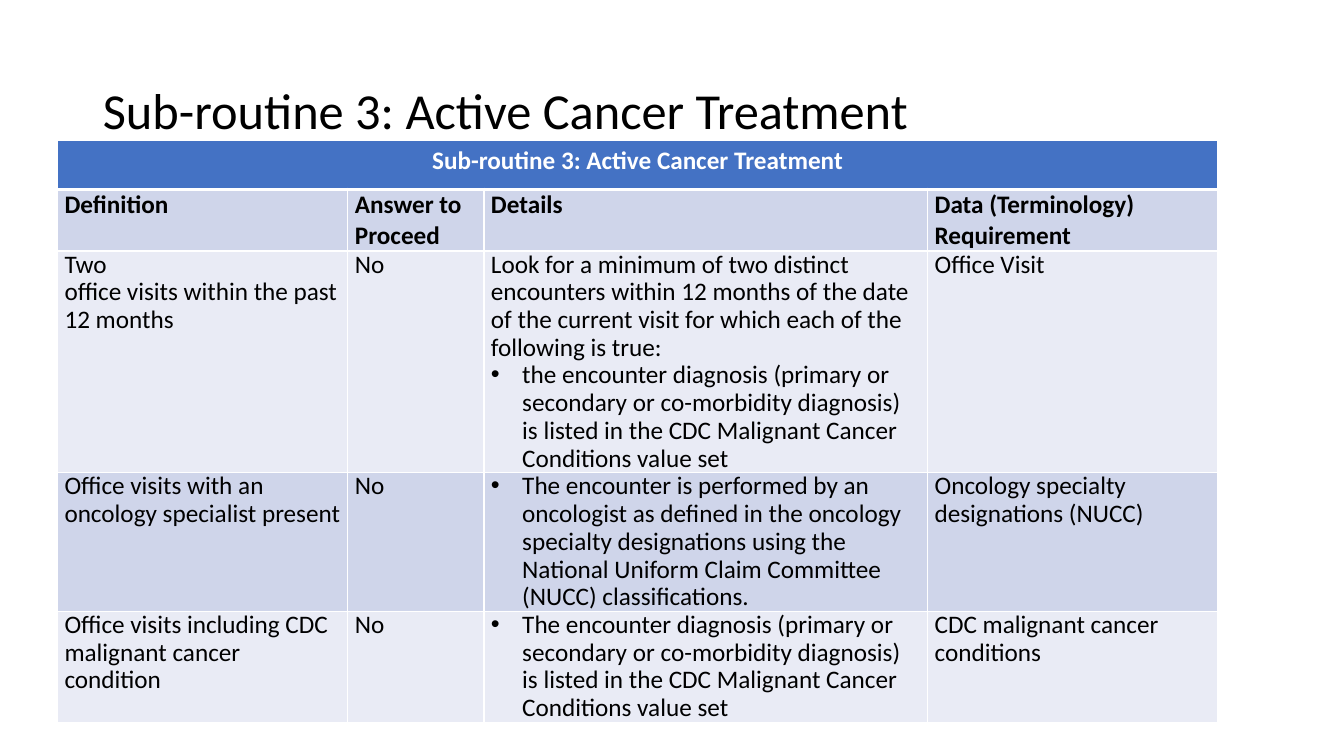
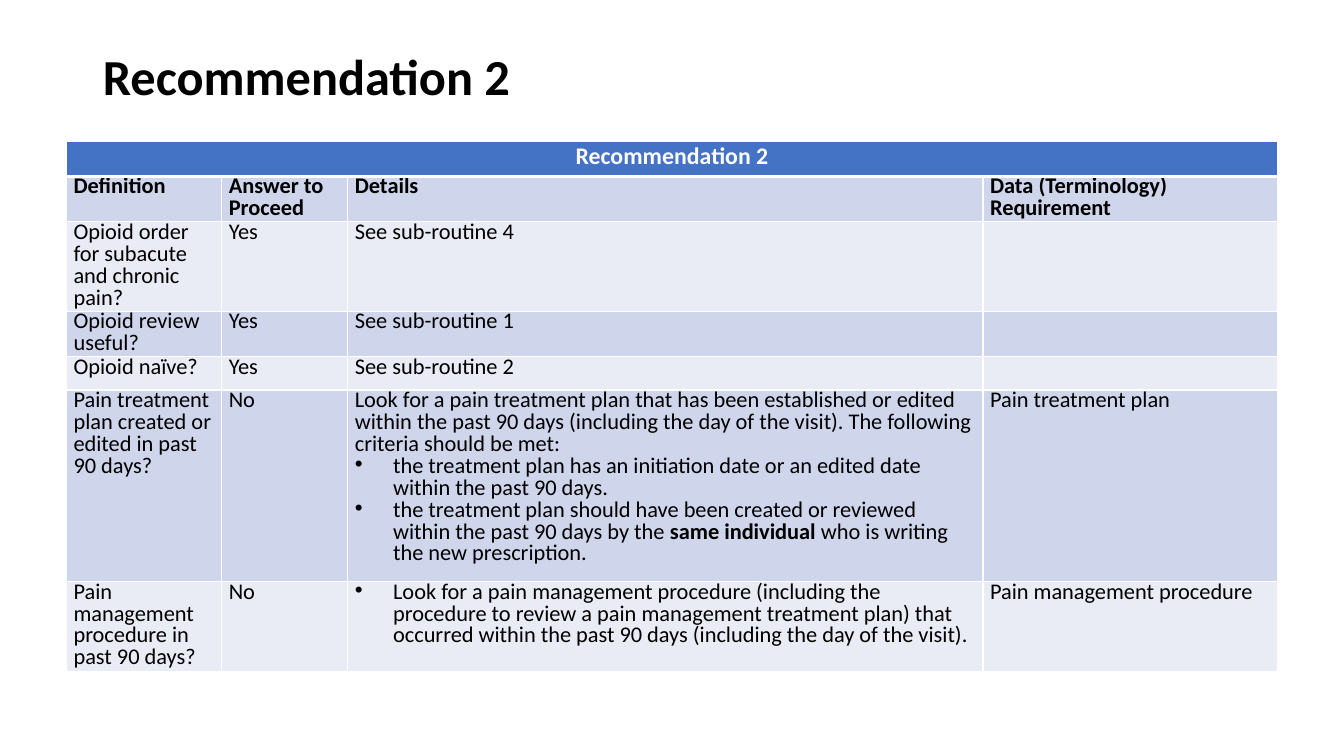
from lxml import etree
from pptx import Presentation
from pptx.dml.color import RGBColor
from pptx.enum.text import MSO_ANCHOR, PP_ALIGN
from pptx.oxml.ns import qn
from pptx.util import Inches, Pt

LEFT, CENTER = PP_ALIGN.LEFT, PP_ALIGN.CENTER
MIDDLE = MSO_ANCHOR.MIDDLE
FONT = "Calibri"
BLACK, WHITE, BLUE = "000000", "FFFFFF", "4472C4"
BANDS = ("CFD5EA", "E9EBF5")
BULLET = "• "
HEADS = ("Definition", "Answer to\u0020Proceed", "Details", "Data (Terminology) Requirement")
SLIM = {
    "margin_left": Inches(0.07),
    "margin_right": Inches(0.07),
    "margin_top": 0,
    "margin_bottom": 0,
}

CANCER = {
    "title": "Sub-routine 3: Active Cancer Treatment",
    "title_box": (0.92, 0.4, 11.5, 1.45),
    "title_bold": False,
    "spot": (0.57, 1.39),
    "cols": (2.88, 1.35, 4.4, 2.88),
    "rows": (0.49, 0.6, 2.2, 1.37, 1.1),
    "sizes": (18, 18),
    "spacing": (1.0, 0.9),
    "indent": 0.31,
    "body": (
        (
            "Two\voffice visits within the past 12 months",
            "No",
            "Look for a minimum of two distinct encounters within 12 months of the date "
            "of the current visit for which each of the following is true:\n"
            "• the encounter diagnosis (primary or secondary or co-morbidity diagnosis) "
            "is listed in the CDC Malignant Cancer Conditions value set",
            "Office Visit",
        ),
        (
            "Office visits with an oncology specialist present",
            "No",
            "• The encounter is performed by an oncologist as defined in the oncology "
            "specialty designations using the National Uniform Claim Committee (NUCC) "
            "classifications.",
            "Oncology specialty designations (NUCC)",
        ),
        (
            "Office visits including CDC malignant cancer condition",
            "No",
            "• The encounter diagnosis (primary or secondary or co-morbidity diagnosis) "
            "is listed in the CDC Malignant Cancer Conditions value set",
            "CDC malignant cancer conditions",
        ),
    ),
}

PAIN = {
    "title": "Recommendation 2",
    "title_box": (0.92, 0.4, 4.42, 0.77),
    "title_bold": True,
    "spot": (0.66, 1.4),
    "cols": (1.54, 1.25, 6.3, 2.92),
    "rows": (0.35, 0.45, 0.89, 0.45, 0.33, 1.9, 0.89),
    "sizes": (17, 16),
    "spacing": (0.8, 0.8),
    "indent": 0.38,
    "body": (
        ("Opioid order for subacute and chronic pain?", "Yes", "See sub-routine 4", ""),
        ("Opioid review useful?", "Yes", "See sub-routine 1", ""),
        ("Opioid naïve?", "Yes", "See sub-routine 2", ""),
        (
            "Pain treatment plan created or edited in past 90 days?",
            "No",
            "Look for a pain treatment plan that has been established or edited within "
            "the past 90 days (including the day of the visit). The following criteria "
            "should be met:\n"
            "• the treatment plan has an initiation date or an edited date within the "
            "past 90 days.\n"
            "• the treatment plan should have been created or reviewed within the past "
            "90 days by the *same individual* who is writing the new prescription.",
            "Pain treatment plan",
        ),
        (
            "Pain management procedure in past 90 days?",
            "No",
            "• Look for a pain management procedure (including the procedure to review a "
            "pain management treatment plan) that occurred within the past 90 days "
            "(including the day of the visit).",
            "Pain management procedure",
        ),
    ),
}


def assign(item, values):
    """Set each named value on an object."""
    for name, value in values.items():
        setattr(item, name, value)


def paint(target, color):
    """Give a font or a fill one solid colour."""
    fill = target.fill if hasattr(target, "fill") else target
    fill.solid()
    fill.fore_color.rgb = RGBColor.from_string(color)


def write(para, text, size, color=BLACK, bold=False, **layout):
    """Write a paragraph whose starred parts are bold."""
    parts = text.split("*")
    para.text = parts[0]
    for part in parts[1:]:
        para.add_run().text = part
    for run in para.runs:
        strong = bold or run.text in parts[1::2]
        assign(run.font, {"name": FONT, "size": Pt(size), "bold": strong})
        paint(run.font, color)
    assign(para, {"alignment": LEFT, **layout})


def bullet(para, indent):
    """Hang a round bullet before a paragraph."""
    props = para._p.get_or_add_pPr()
    gap = Inches(indent)
    props.set("marL", str(gap))
    props.set("indent", str(-gap))
    etree.SubElement(props, qn("a:buFont"), typeface="Arial")
    etree.SubElement(props, qn("a:buChar"), char=BULLET.strip())


def border(cell, row):
    """Draw white cell edges, thick below the band."""
    props = cell._tc.get_or_add_tcPr()
    thick = {0: "B", 1: "T"}.get(row)
    for side in "LRTB":
        width = Pt(3 if side == thick else 1)
        line = etree.SubElement(props, qn(f"a:ln{side}"), w=str(width))
        fill = etree.SubElement(line, qn("a:solidFill"))
        etree.SubElement(fill, qn("a:srgbClr"), val=WHITE)


def fill_cell(cell, text, data, head):
    """Fill one cell with its lines and bullets."""
    assign(cell, SLIM)
    frame = cell.text_frame
    for i, line in enumerate(text.split("\n")):
        para = frame.add_paragraph() if i else frame.paragraphs[0]
        if line.startswith(BULLET):
            bullet(para, data["indent"])
        spacing = data["spacing"][0 if head else 1]
        write(para, line.removeprefix(BULLET), data["sizes"][1],
              bold=head, line_spacing=spacing)


def add_title(slide, data):
    """Place and format the slide title."""
    title = slide.shapes.title
    box = map(Inches, data["title_box"])
    assign(title, dict(zip(("left", "top", "width", "height"), box)))
    assign(title.text_frame, {"vertical_anchor": MIDDLE, "word_wrap": True})
    write(title.text_frame.paragraphs[0], data["title"], 36,
          bold=data["title_bold"], line_spacing=0.9)


def add_grid(slide, data):
    """Add the banded table under its title row."""
    cols, rows = data["cols"], data["rows"]
    sizes = (*data["spot"], sum(cols), sum(rows))
    table = slide.shapes.add_table(len(rows), len(cols), *map(Inches, sizes)).table
    for col, width in zip(table.columns, cols):
        col.width = Inches(width)
    for row, height in zip(table.rows, rows):
        row.height = Inches(height)
    for r, row in enumerate(table.rows):
        for cell in row.cells:
            border(cell, r)
            paint(cell, BANDS[(r - 1) % 2] if r else BLUE)
    band = table.cell(0, 0)
    band.merge(table.cell(0, len(cols) - 1))
    write(band.text_frame.paragraphs[0], data["title"], data["sizes"][0], WHITE,
          True, alignment=CENTER, line_spacing=data["spacing"][0])
    for r, texts in enumerate((HEADS, *data["body"]), 1):
        for c, text in enumerate(texts):
            fill_cell(table.cell(r, c), text, data, r == 1)


def main():
    """Build and save the slides."""
    deck = Presentation()
    assign(deck, {"slide_width": Inches(13.33), "slide_height": Inches(7.5)})
    for data in (CANCER, PAIN):
        slide = deck.slides.add_slide(deck.slide_layouts[5])
        add_title(slide, data)
        add_grid(slide, data)
    deck.save("out.pptx")


if __name__ == "__main__":
    main()
